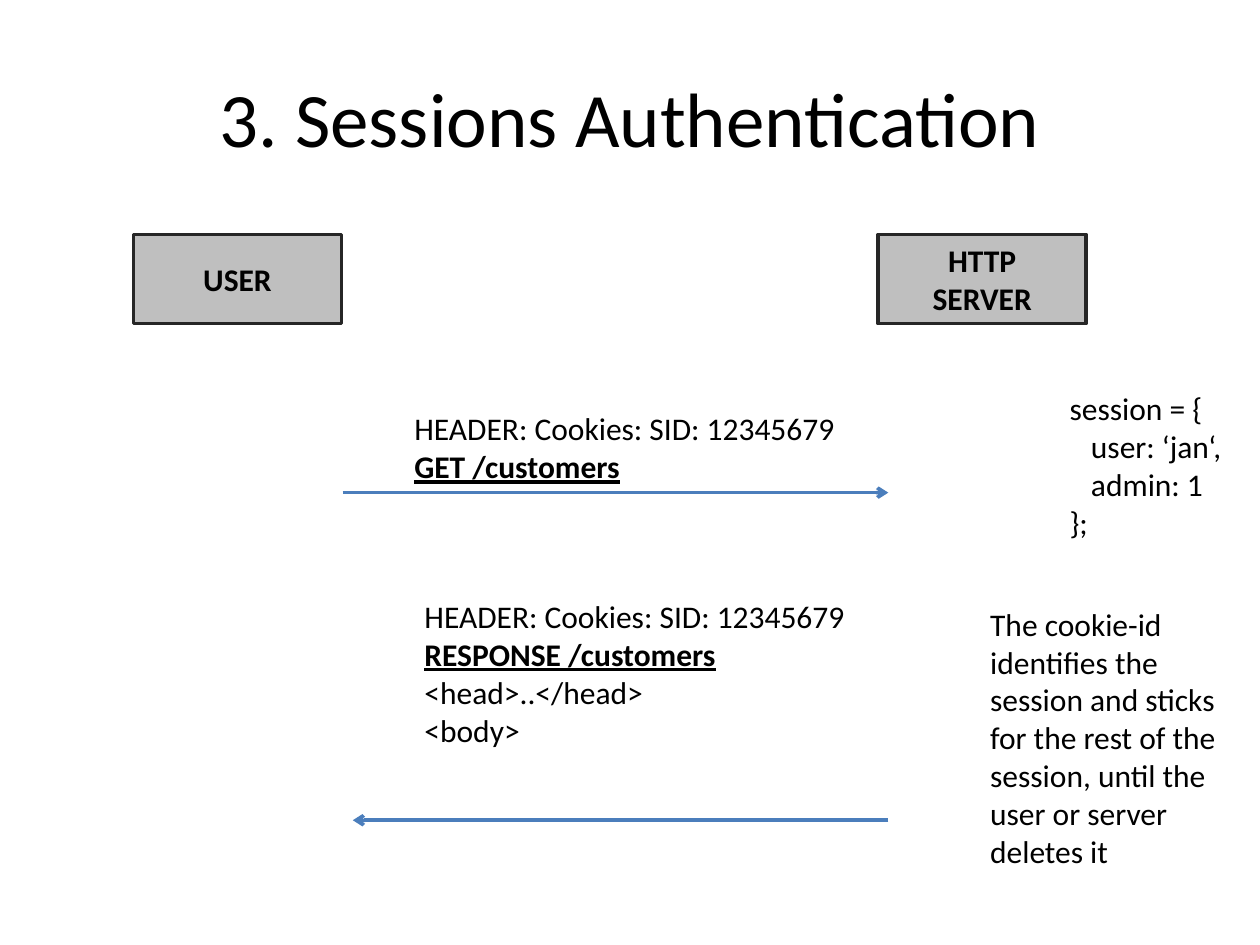
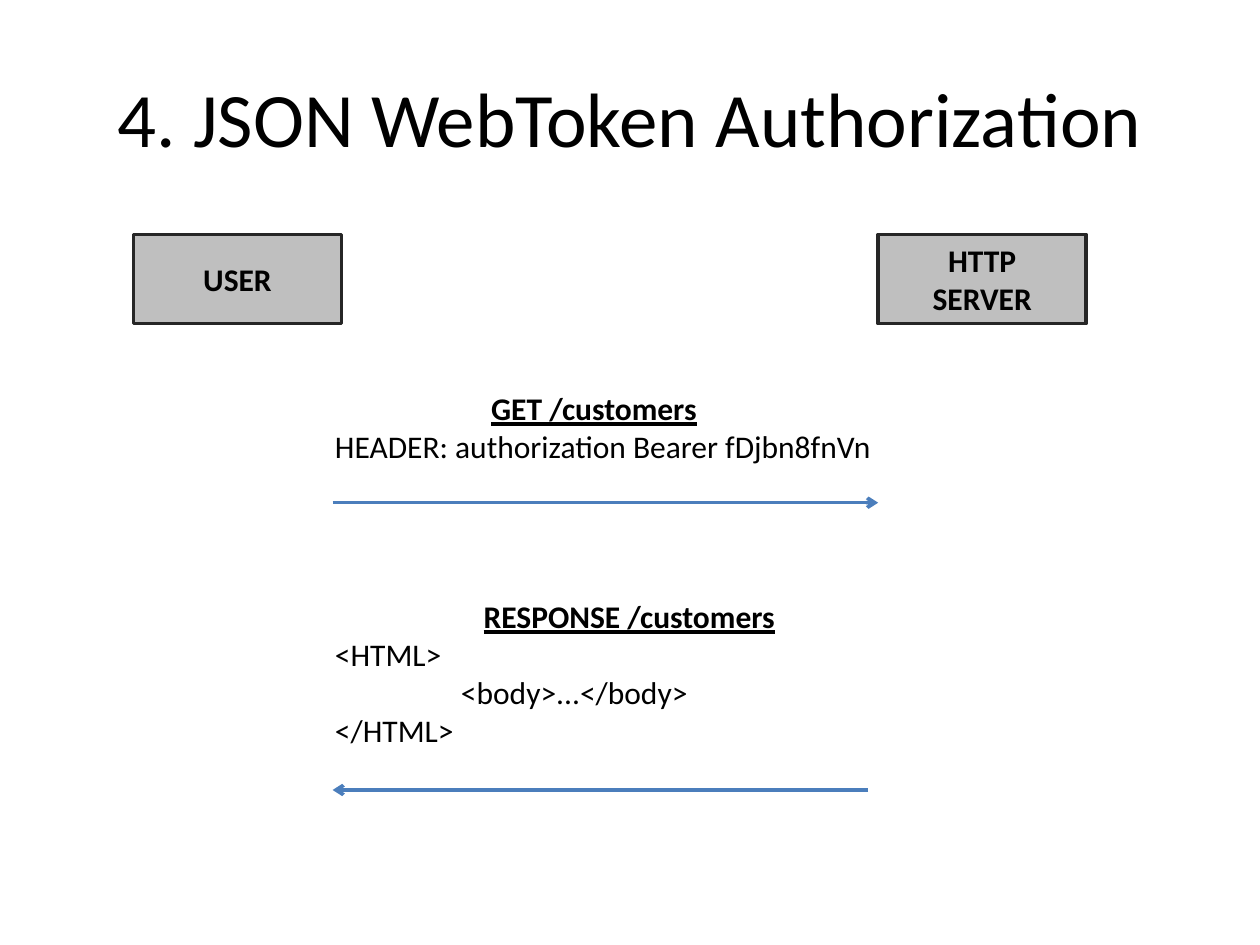
from dataclasses import dataclass

from lxml.etree import SubElement
from pptx import Presentation
from pptx.dml.color import RGBColor
from pptx.enum.shapes import MSO_CONNECTOR, MSO_SHAPE
from pptx.enum.text import MSO_ANCHOR, PP_ALIGN
from pptx.oxml.ns import qn
from pptx.util import Inches, Pt


@dataclass(frozen=True)
class Theme:
    font: str = "Calibri"
    text: RGBColor = RGBColor(0x00, 0x00, 0x00)
    box_fill: RGBColor = RGBColor(0xBF, 0xBF, 0xBF)
    box_line: RGBColor = RGBColor(0x26, 0x26, 0x26)
    arrow: RGBColor = RGBColor(0x4B, 0x7E, 0xBC)
    title_size: Pt = Pt(44)
    body_size: Pt = Pt(18)
    line_width: Pt = Pt(2)


theme = Theme()


def write(tf, lines, size=theme.body_size, align=PP_ALIGN.LEFT):
    """Fill a text frame with (text, is_bold, is_underlined, indent) lines."""
    tf.word_wrap = True
    for i, (text, bold, underline, indent) in enumerate(lines):
        p = tf.paragraphs[0] if i == 0 else tf.add_paragraph()
        p.text = text
        p.alignment = align
        p.font.name = theme.font
        p.font.size = size
        p.font.color.rgb = theme.text
        p.font.bold = bold
        p.font.underline = underline
        if indent:
            p._p.get_or_add_pPr().set("marL", str(Inches(indent)))


def plain(text, indent=0):
    return text, False, False, indent


# The two parties shown on every slide: left edge, label lines
PARTIES = [(1.06, ["USER"]), (6.97, ["HTTP", "SERVER"])]

# Arrows: start x, end x, y. Notes: left, top, width, height, lines
SLIDES = [
    {
        "title": "3. Sessions Authentication",
        "arrows": [(2.72, 7.05, 3.91), (7.05, 2.8, 6.51)],
        "notes": [
            (3.19, 3.2, 3.92, 0.71, [
                plain("HEADER: Cookies: SID: 12345679"),
                ("GET /customers", True, True, 0),
            ]),
            (8.39, 3.04, 1.42, 1.31, [
                plain("session = {"),
                plain("user: ‘jan‘,", 0.17),
                plain("admin: 1", 0.17),
                plain("};"),
            ]),
            (3.27, 4.69, 3.92, 1.31, [
                plain("HEADER: Cookies: SID: 12345679"),
                ("RESPONSE /customers", True, True, 0),
                plain("<head>..</head>"),
                plain("<body>"),
            ]),
            (7.76, 4.75, 2.01, 2.22, [
                plain("The cookie-id identifies the session and sticks for "
                      "the rest of the session, until the user or server "
                      "deletes it"),
            ]),
        ],
    },
    {
        "title": "4. JSON WebToken Authorization",
        "arrows": [(2.64, 6.97, 3.99), (6.89, 2.64, 6.27)],
        "notes": [
            (2.56, 3.04, 4.51, 0.71, [
                ("GET /customers", True, True, 1.24),
                plain("HEADER: authorization Bearer fDjbn8fnVn"),
            ]),
            (2.56, 4.69, 3.75, 1.31, [
                ("RESPONSE /customers", True, True, 1.18),
                plain("<HTML>"),
                plain("<body>...</body>", 1),
                plain("</HTML>"),
            ]),
        ],
    },
]

prs = Presentation()
prs.slide_width, prs.slide_height = Inches(10), Inches(7.5)
title_only = prs.slide_layouts[5]

for content in SLIDES:
    s = prs.slides.add_slide(title_only)

    # Title
    title = s.shapes.title
    title.left, title.top = Inches(0.5), Inches(0.3)
    title.width, title.height = Inches(9), Inches(1.25)
    title.text_frame.vertical_anchor = MSO_ANCHOR.MIDDLE
    write(title.text_frame, [plain(content["title"])],
          theme.title_size, PP_ALIGN.CENTER)

    # User and server boxes
    for left, labels in PARTIES:
        sp = s.shapes.add_shape(MSO_SHAPE.RECTANGLE, Inches(left),
                                Inches(1.86), Inches(1.65), Inches(0.71))
        sp.shadow.inherit = False
        sp.fill.solid()
        sp.fill.fore_color.rgb = theme.box_fill
        sp.line.color.rgb = theme.box_line
        sp.line.width = theme.line_width
        sp.text_frame.vertical_anchor = MSO_ANCHOR.MIDDLE
        write(sp.text_frame, [(label, True, False, 0) for label in labels],
              align=PP_ALIGN.CENTER)

    # Request and response arrows
    for start, end, y in content["arrows"]:
        arrow = s.shapes.add_connector(MSO_CONNECTOR.STRAIGHT, Inches(start),
                                       Inches(y), Inches(end), Inches(y))
        arrow.line.color.rgb = theme.arrow
        arrow.line.width = theme.line_width
        SubElement(arrow.line._get_or_add_ln(), qn("a:tailEnd"), type="arrow")
        SubElement(arrow._element.spPr, qn("a:effectLst"))

    # Messages and explanations
    for left, top, width, height, lines in content["notes"]:
        note = s.shapes.add_textbox(Inches(left), Inches(top),
                                    Inches(width), Inches(height))
        note.text_frame.margin_right = 0
        write(note.text_frame, lines)

prs.save("out.pptx")
